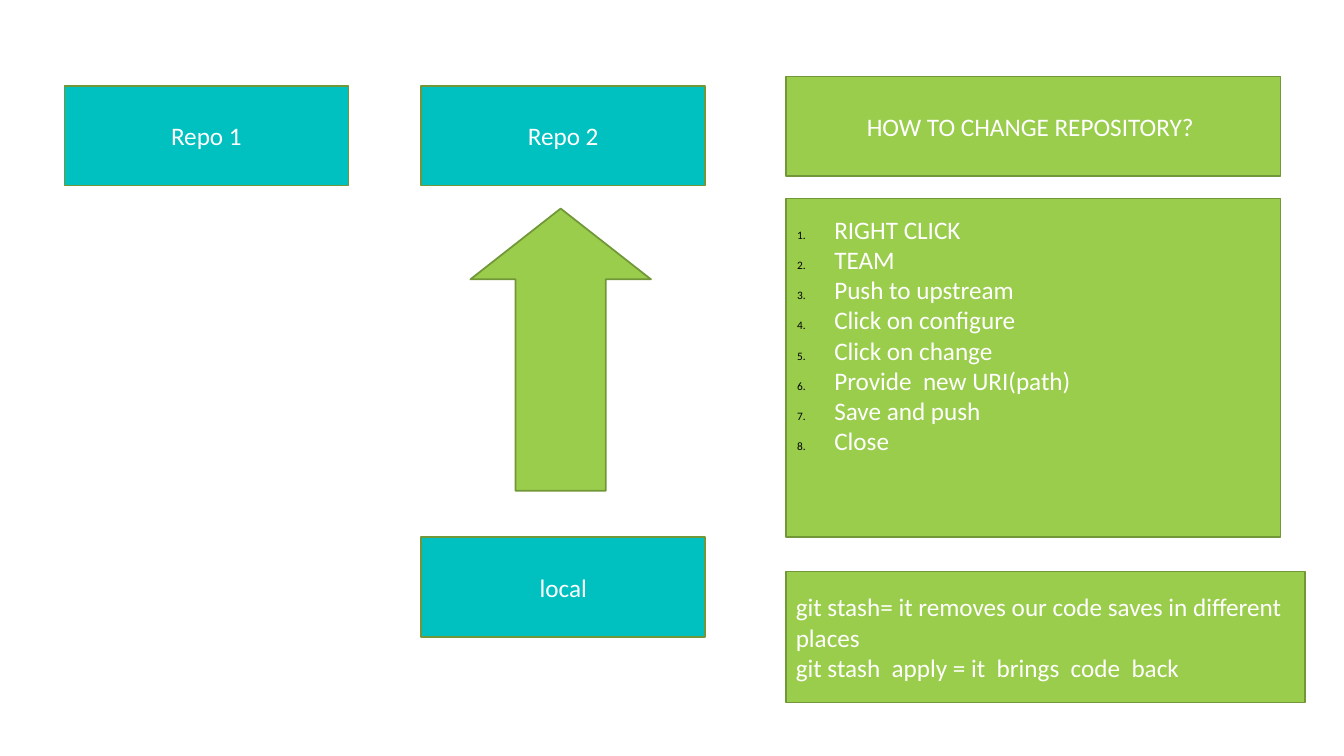
from dataclasses import dataclass

from lxml import etree
from pptx import Presentation
from pptx.dml.color import RGBColor
from pptx.enum import shapes, text
from pptx.oxml import ns
from pptx.util import Pt


@dataclass(frozen=True)
class Theme:
    """Colours, font and sizes of the slide."""
    teal: str = "00C0C0"
    green: str = "9ACD4C"
    outline: str = "719738"
    ink: str = "FFFFFF"
    number: str = "000000"
    font: str = "Calibri"
    size: float = 18
    border: float = 1.25


THEME = Theme()
REPO_WIDTH, REPO_HEIGHT = 203, 71.3
REPOS = [("Repo 1", 46, 61.2), ("Repo 2", 301, 61.2), ("local", 301, 383.8)]
GUIDE_LEFT, GUIDE_WIDTH = 561.6, 353.5
STEPS = ["RIGHT CLICK", "TEAM", "Push to upstream", "Click on configure",
         "Click on change", "Provide  new URI(path)", "Save and push", "Close"]
STASH_NOTES = ["git stash= it removes our code saves in different places",
               "git stash  apply = it  brings  code  back"]


def paint(shape, fill):
    """Give a shape its fill and outline without a shadow."""
    shape.shadow.inherit = False
    shape.fill.solid()
    shape.fill.fore_color.rgb = RGBColor.from_string(fill)
    shape.line.color.rgb = RGBColor.from_string(THEME.outline)
    shape.line.width = Pt(THEME.border)


def write(shape, lines, align=text.PP_ALIGN.LEFT):
    """Write lines as paragraphs, centred vertically in the shape."""
    frame = shape.text_frame
    frame.word_wrap = True
    frame.auto_size = text.MSO_AUTO_SIZE.NONE
    frame.vertical_anchor = text.MSO_ANCHOR.MIDDLE
    for index, line in enumerate(lines):
        para = frame.add_paragraph() if index else frame.paragraphs[0]
        para.alignment = align
        para.space_before = Pt(0)
        span = para.add_run()
        span.text = line
        span.font.name = THEME.font
        span.font.size = Pt(THEME.size)
        span.font.color.rgb = RGBColor.from_string(THEME.ink)


def add_box(page, kind, fill, left, top, width, height):
    """Add a painted preset shape."""
    box = page.shapes.add_shape(kind, Pt(left), Pt(top), Pt(width), Pt(height))
    paint(box, fill)
    return box


def place(holder, left, top, width, height):
    """Move a placeholder and paint it green."""
    holder.left, holder.top = Pt(left), Pt(top)
    holder.width, holder.height = Pt(width), Pt(height)
    paint(holder, THEME.green)


def number(para):
    """Turn a paragraph into a step with a small black number."""
    props = para._p.get_or_add_pPr()
    props.set("marL", str(Pt(27.4)))
    props.set("indent", str(Pt(-26.6)))
    colour = etree.SubElement(props, ns.qn("a:buClr"))
    etree.SubElement(colour, ns.qn("a:srgbClr"), val=THEME.number)
    etree.SubElement(props, ns.qn("a:buSzPct"), val="45000")
    etree.SubElement(props, ns.qn("a:buFont"), typeface=THEME.font)
    etree.SubElement(props, ns.qn("a:buAutoNum"), type="arabicPeriod")


def add_guide(page):
    """Fill the title and body with the numbered instructions."""
    title, steps = page.placeholders
    place(title, GUIDE_LEFT, 54.7, GUIDE_WIDTH, REPO_HEIGHT)
    write(title, ["HOW TO CHANGE REPOSITORY? "], text.PP_ALIGN.CENTER)
    place(steps, GUIDE_LEFT, 141.8, GUIDE_WIDTH, 241.9)
    write(steps, STEPS)
    steps.text_frame.vertical_anchor = text.MSO_ANCHOR.TOP
    steps.text_frame.margin_top = Pt(11)
    for para in steps.text_frame.paragraphs:
        number(para)


def main():
    """Build the slide and save it."""
    deck = Presentation()
    deck.slide_width, deck.slide_height = Pt(960.5), Pt(540)
    page = deck.slides.add_slide(deck.slide_layouts[1])
    rectangle = shapes.MSO_SHAPE.RECTANGLE
    for name, left, top in REPOS:
        repo = add_box(page, rectangle, THEME.teal, left, top, REPO_WIDTH, REPO_HEIGHT)
        write(repo, [name], text.PP_ALIGN.CENTER)
    arrow = add_box(page, shapes.MSO_SHAPE.UP_ARROW, THEME.green, 336.2, 149, 129, 201.6)
    arrow.adjustments[1] = 0.392
    add_guide(page)
    stash = add_box(page, rectangle, THEME.green, GUIDE_LEFT, 408.2, 370.8, 93.6)
    write(stash, STASH_NOTES)
    deck.save("out.pptx")


if __name__ == "__main__":
    main()
